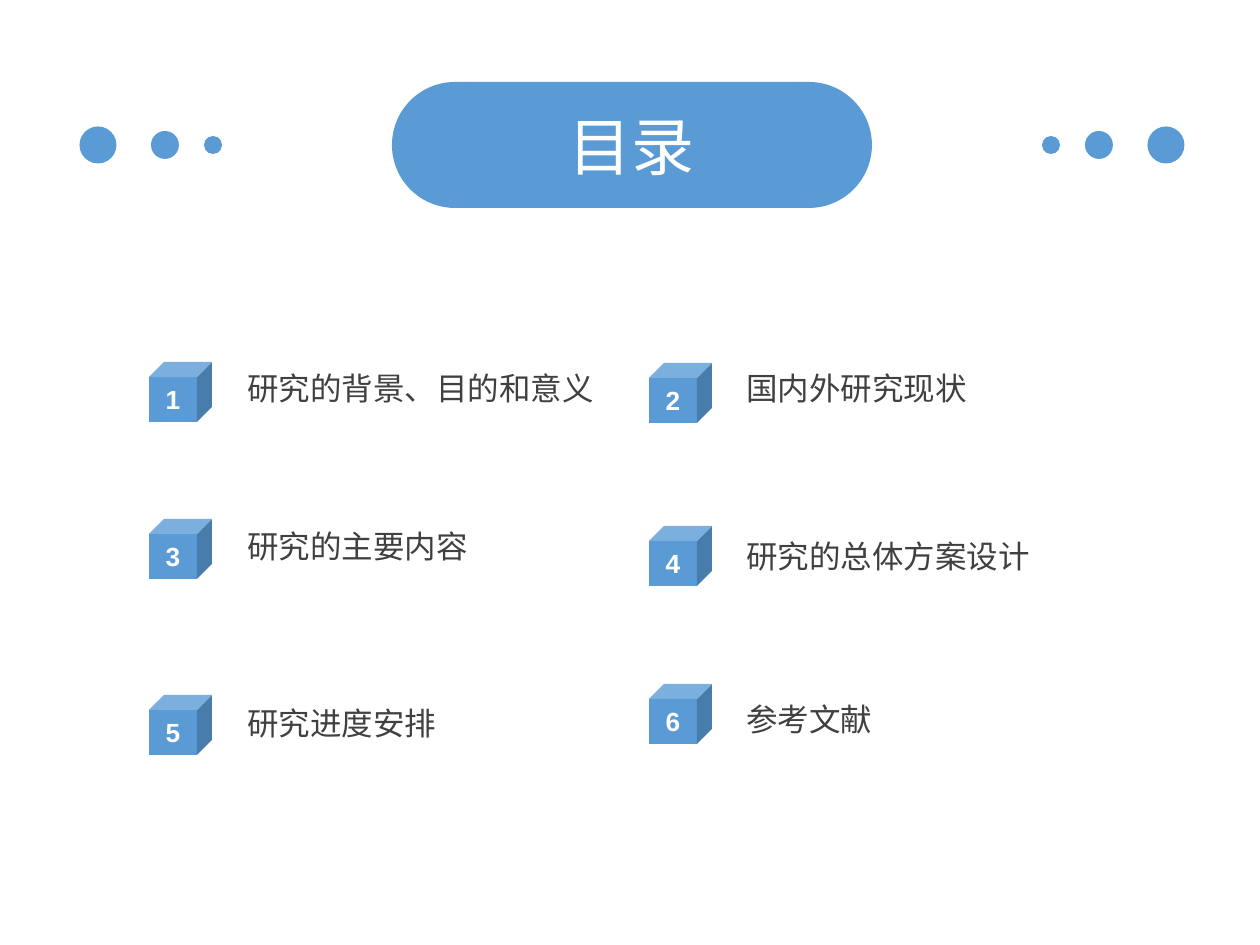
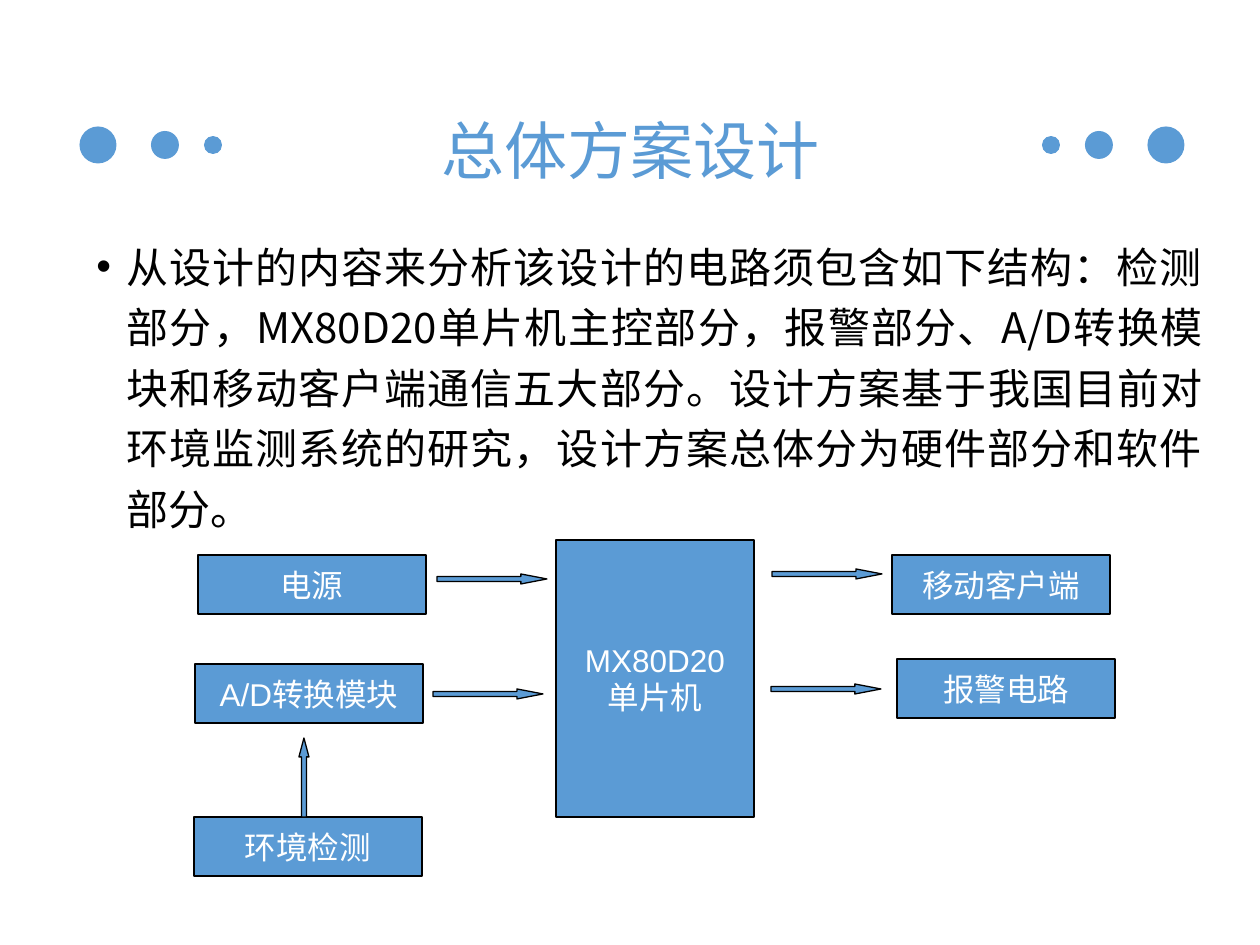
from dataclasses import dataclass
from lxml.etree import SubElement
from pptx import Presentation
from pptx.dml.color import RGBColor as Rgb
from pptx.enum.shapes import MSO_SHAPE as Kind
from pptx.enum.text import MSO_ANCHOR as Anchor, PP_ALIGN as Align
from pptx.oxml.ns import qn
from pptx.util import Emu, Pt


@dataclass(frozen=True)
class Theme:
    blue: str = "5B9BD5"
    white: str = "FFFFFF"
    gray: str = "404040"
    black: str = "000000"
    latin: str = "Arial"
    cjk: str = "Noto Sans CJK SC"
    title: int = 36
    body: int = 24
    label: int = 18
    num: int = 15
    line: float = 0.75


T = Theme()
WIDE, HIGH = 1260, 945
AXIS = 632

DOTS = [(98, 37), (165, 28), (213, 18)]
DOT_MID = 145

TOC_TITLE = "目录"
COLS = [(149, 235), (649, 734)]
ITEMS = [
    ("研究的背景、目的和意义", 362, 367),
    ("国内外研究现状", 363, 367),
    ("研究的主要内容", 519, 525),
    ("研究的总体方案设计", 526, 535),
    ("研究进度安排", 695, 702),
    ("参考文献", 684, 698),
]

PLAN_TITLE = "总体方案设计"
PLAN = [
    ("从设计的内容来分析该设计的电路须包含如下结构：检测部分，MX80D20单片机主控部分，"
     "报警部分、A/D转换模块和移动客户端通信五大部分。", T.cjk),
    ("设计方案基于我国目前对环境监测系统的研究，设计方案总体分为硬件部分和软件部分。", T.latin),
]
BLOCKS = [
    (["电源"], (198, 555, 228, 59)),
    (["MX80D20", "单片机"], (556, 540, 198, 277)),
    (["A/D转换模块"], (195, 664, 228, 59)),
    (["环境检测"], (194, 817, 228, 59)),
    (["移动客户端"], (892, 555, 218, 59)),
    (["报警电路"], (897, 659, 218, 59)),
]
ARROWS = [(437, 574), (433, 689), (771, 684), (772, 569)]
RISE = (299, 738, 10, 79)


def px(n):
    return Emu(round(n * 914400 / 126))


def style(para, size, color, face=T.latin, align=Align.LEFT, bold=False, gap=1.0):
    para.alignment = align
    para.line_spacing = gap
    font = para.font
    font.size, font.bold = Pt(size), bold
    font.color.rgb = Rgb.from_string(color)
    if face:
        font.name = face


def write(shape, lines, size, color, wrap=True, **look):
    frame = shape.text_frame
    frame.word_wrap = wrap
    frame.vertical_anchor = Anchor.MIDDLE
    frame.text = "\n".join(lines)
    for para in frame.paragraphs:
        style(para, size, color, **look)


def draw(slide, kind, box, edge=False):
    shape = slide.shapes.add_shape(kind, *map(px, box))
    shape.shadow.inherit = False
    shape.fill.solid()
    shape.fill.fore_color.rgb = Rgb.from_string(T.blue)
    if edge:
        shape.line.color.rgb = Rgb.from_string(T.black)
        shape.line.width = Pt(T.line)
    else:
        shape.line.fill.background()
    return shape


def text(slide, box):
    return slide.shapes.add_textbox(*map(px, box))


def start(deck):
    slide = deck.slides.add_slide(deck.slide_layouts[6])
    for mid, size in DOTS:
        for x in (mid, 2 * AXIS - mid):
            draw(slide, Kind.OVAL, (x - size / 2, DOT_MID - size / 2, size, size))
    return slide


def bullet(para, hang):
    props = para._p.get_or_add_pPr()
    props.set("marL", str(px(hang)))
    props.set("indent", str(-px(hang)))
    SubElement(props, qn("a:buFont")).set("typeface", T.latin)
    SubElement(props, qn("a:buChar")).set("char", "•")


def toc(deck):
    slide = start(deck)
    pill = draw(slide, Kind.ROUNDED_RECTANGLE, (392, 82, 480, 126))
    pill.adjustments[0] = 0.5
    write(pill, [TOC_TITLE], T.title, T.white, align=Align.CENTER)
    for i, (name, top, base) in enumerate(ITEMS):
        left, start_x = COLS[i % 2]
        cube = draw(slide, Kind.CUBE, (left, top, 63, 60))
        write(cube, [str(i + 1)], T.num, T.white, align=Align.CENTER, bold=True)
        write(text(slide, (start_x, base, 394, 47)), [name], T.label, T.gray, gap=0.9)


def plan(deck):
    slide = start(deck)
    write(text(slide, (230, 50, 801, 183)), [PLAN_TITLE], T.title, T.blue,
          align=Align.CENTER, gap=1.2)

    frame = text(slide, (84, 225, 1131, 316)).text_frame
    frame.word_wrap = True
    para = frame.paragraphs[0]
    style(para, T.body, T.black, face=None, align=Align.JUSTIFY, gap=1.2)
    bullet(para, 30)
    for part, face in PLAN:
        run = para.add_run()
        run.text, run.font.name = part, face

    for lines, box in BLOCKS:
        block = draw(slide, Kind.FLOWCHART_PROCESS, box, edge=True)
        write(block, lines, T.label, T.white, wrap=False, align=Align.CENTER)
    for x, y in ARROWS:
        draw(slide, Kind.RIGHT_ARROW, (x, y, 110, 10), edge=True).adjustments[1] = 2.6
    draw(slide, Kind.UP_ARROW, RISE, edge=True).adjustments[1] = 1.89


def main():
    deck = Presentation()
    deck.slide_width, deck.slide_height = px(WIDE), px(HIGH)
    toc(deck)
    plan(deck)
    deck.save("out.pptx")


if __name__ == "__main__":
    main()
